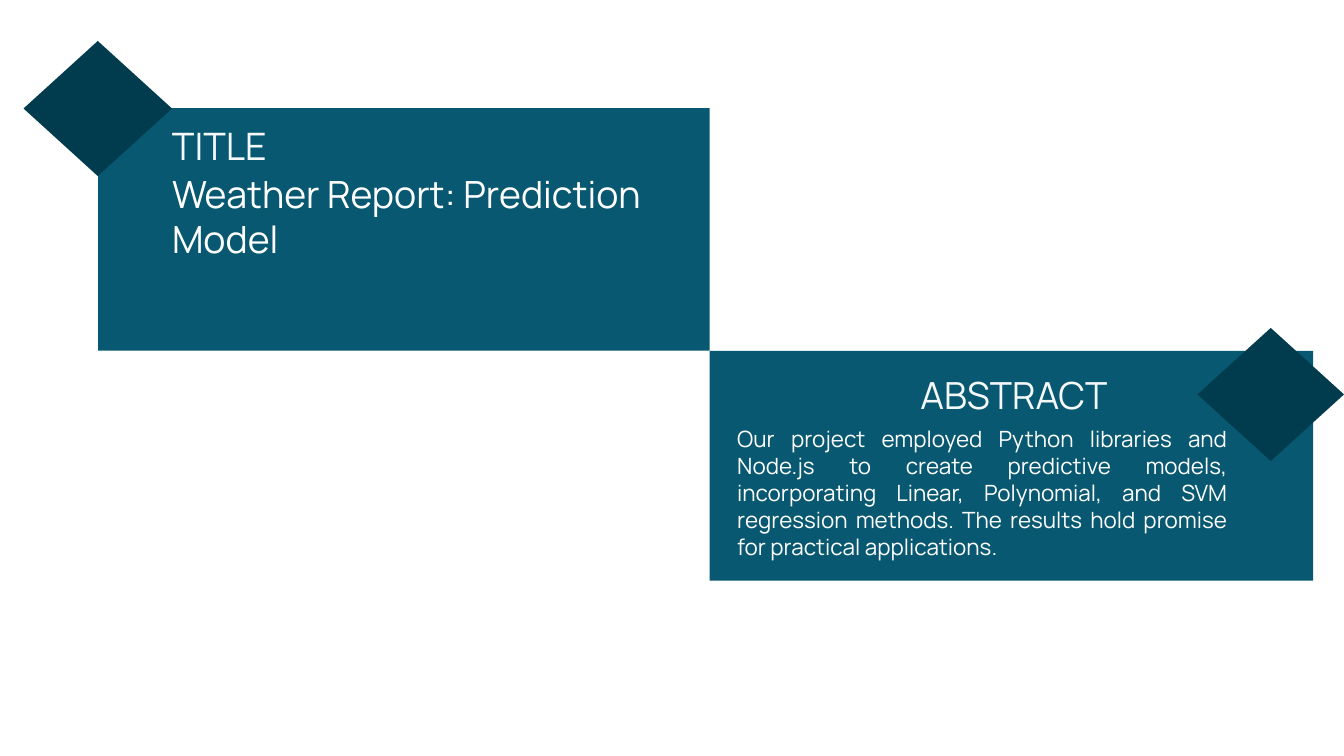
"""Build a slide with a project title panel and an abstract panel."""
import pptx
import pptx.util
from pptx.dml.color import RGBColor
from pptx.enum.shapes import MSO_SHAPE
from pptx.enum.text import MSO_ANCHOR, MSO_AUTO_SIZE, PP_ALIGN

WIDTH, HEIGHT = 20, 11.25
FONT = "Manrope"
TEAL = RGBColor(0x07, 0x58, 0x70)
DARK_TEAL = RGBColor(0x00, 0x3C, 0x4D)
PALE = RGBColor(0xF4, 0xF8, 0xF9)
WHITE = RGBColor(0xFF, 0xFF, 0xFF)

LEFT, MIDDLE, RIGHT = 1.46, 10.56, 19.54
TOP, CENTRE, BOTTOM = 1.61, 5.22, 8.64

SHAPES = [
    (MSO_SHAPE.RECTANGLE, TEAL, (LEFT, TOP, MIDDLE - LEFT, CENTRE - TOP)),
    (MSO_SHAPE.RECTANGLE, TEAL, (MIDDLE, CENTRE, RIGHT - MIDDLE, BOTTOM - CENTRE)),
    (MSO_SHAPE.DIAMOND, DARK_TEAL, (0.35, 0.61, 2.21, 2.01)),
    (MSO_SHAPE.DIAMOND, DARK_TEAL, (17.82, 4.88, 2.18, 1.98)),
]
TITLE = ("Weather Report: Prediction Model",
         (2.56, 2.55, 7.72, 1.36), 40.1, 48.1, PP_ALIGN.LEFT, WHITE)
TEXTS = [
    ("TITLE", (2.56, 1.71, 5.77, 0.8), 40.5, 56.8, PP_ALIGN.LEFT, PALE),
    ("ABSTRACT", (10.78, 5.42, 5.7, 0.78), 40, 56, PP_ALIGN.RIGHT, PALE),
    ("Our project employed Python libraries and Node.js to create predictive "
     "models, incorporating Linear, Polynomial, and SVM regression methods. "
     "The results hold promise for practical applications.",
     (10.97, 6.33, 7.29, 1.98), 24, 28.8, PP_ALIGN.JUSTIFY, WHITE),
]


def to_inches(area):
    return [pptx.util.Inches(length) for length in area]


def add_block(page, kind, colour, area):
    block = page.shapes.add_shape(kind, *to_inches(area))
    block.shadow.inherit = False
    block.fill.solid()
    block.fill.fore_color.rgb = colour
    block.line.fill.background()


def write_text(box, text, area, size, spacing, alignment, colour):
    box.left, box.top, box.width, box.height = to_inches(area)
    frame = box.text_frame
    frame.word_wrap = True
    frame.auto_size = MSO_AUTO_SIZE.NONE
    frame.vertical_anchor = MSO_ANCHOR.TOP
    frame.margin_left = frame.margin_top = frame.margin_right = frame.margin_bottom = 0
    frame.text = text
    para = frame.paragraphs[0]
    para.alignment = alignment
    para.line_spacing = pptx.util.Pt(spacing)
    para.space_before = pptx.util.Pt(0)
    span = para.runs[0]
    span.font.name = FONT
    span.font.size = pptx.util.Pt(size)
    span.font.color.rgb = colour


def main():
    deck = pptx.Presentation()
    deck.slide_width, deck.slide_height = to_inches((WIDTH, HEIGHT))
    page = deck.slides.add_slide(deck.slide_layouts[5])
    for kind, colour, area in SHAPES:
        add_block(page, kind, colour, area)
    title = page.shapes.title
    title.element.getparent().append(title.element)
    write_text(title, *TITLE)
    for text, area, *style in TEXTS:
        box = page.shapes.add_textbox(*to_inches(area))
        write_text(box, text, area, *style)
    deck.save("out.pptx")


if __name__ == "__main__":
    main()
